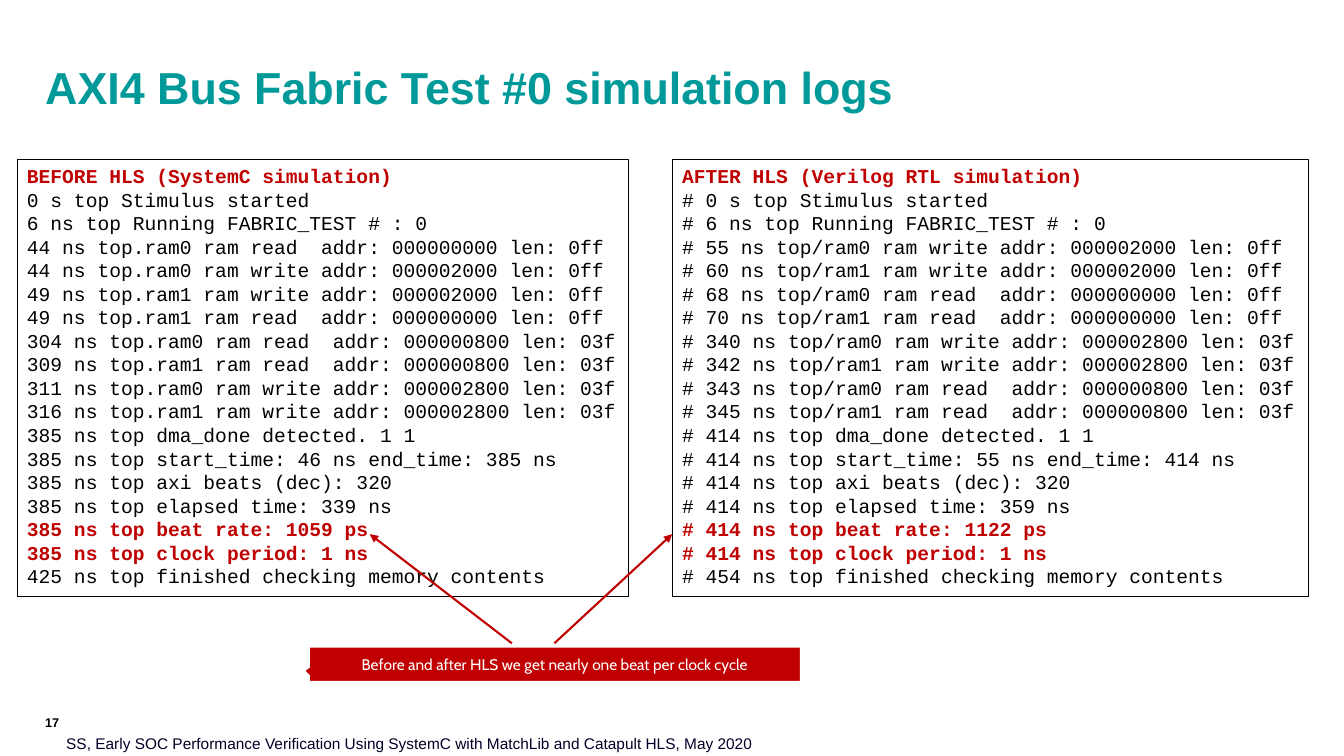
from dataclasses import dataclass

from lxml.etree import SubElement
from pptx import Presentation
from pptx.dml.color import RGBColor
from pptx.enum.shapes import MSO_CONNECTOR, MSO_SHAPE
from pptx.enum.text import MSO_ANCHOR, MSO_AUTO_SIZE, PP_ALIGN
from pptx.oxml.ns import qn
from pptx.util import Cm, Pt

TITLE = "AXI4 Bus Fabric Test #0 simulation logs"
BEFORE = [
    "BEFORE HLS (SystemC simulation)",
    "0 s top Stimulus started",
    "6 ns top Running FABRIC_TEST # : 0",
    "44 ns top.ram0 ram read  addr: 000000000 len: 0ff",
    "44 ns top.ram0 ram write addr: 000002000 len: 0ff",
    "49 ns top.ram1 ram write addr: 000002000 len: 0ff",
    "49 ns top.ram1 ram read  addr: 000000000 len: 0ff",
    "304 ns top.ram0 ram read  addr: 000000800 len: 03f",
    "309 ns top.ram1 ram read  addr: 000000800 len: 03f",
    "311 ns top.ram0 ram write addr: 000002800 len: 03f",
    "316 ns top.ram1 ram write addr: 000002800 len: 03f",
    "385 ns top dma_done detected. 1 1",
    "385 ns top start_time: 46 ns end_time: 385 ns",
    "385 ns top axi beats (dec): 320",
    "385 ns top elapsed time: 339 ns",
    "385 ns top beat rate: 1059 ps",
    "385 ns top clock period: 1 ns",
    "425 ns top finished checking memory contents",
]
AFTER = [
    "AFTER HLS (Verilog RTL simulation)",
    "# 0 s top Stimulus started",
    "# 6 ns top Running FABRIC_TEST # : 0",
    "# 55 ns top/ram0 ram write addr: 000002000 len: 0ff",
    "# 60 ns top/ram1 ram write addr: 000002000 len: 0ff",
    "# 68 ns top/ram0 ram read  addr: 000000000 len: 0ff",
    "# 70 ns top/ram1 ram read  addr: 000000000 len: 0ff",
    "# 340 ns top/ram0 ram write addr: 000002800 len: 03f",
    "# 342 ns top/ram1 ram write addr: 000002800 len: 03f",
    "# 343 ns top/ram0 ram read  addr: 000000800 len: 03f",
    "# 345 ns top/ram1 ram read  addr: 000000800 len: 03f",
    "# 414 ns top dma_done detected. 1 1",
    "# 414 ns top start_time: 55 ns end_time: 414 ns",
    "# 414 ns top axi beats (dec): 320",
    "# 414 ns top elapsed time: 359 ns",
    "# 414 ns top beat rate: 1122 ps",
    "# 414 ns top clock period: 1 ns",
    "# 454 ns top finished checking memory contents",
]
KEY_LINES = (0, 15, 16)
LOGS = [(BEFORE, 0.43, 15.42), (AFTER, 16.94, 16.03)]
LOG_TOP, LOG_HEIGHT = 4.01, 11.02
CALLOUT = "Before and after HLS we get nearly one beat per clock cycle"
ARROWS = [(12.9, 9.32), (13.97, 16.94)]
ARROW_START, ARROW_END = 16.21, 13.46
FOOTER = ("SS, Early SOC Performance Verification Using SystemC with MatchLib "
          "and Catapult HLS, May 2020")
PAGE = "17"


@dataclass(frozen=True)
class Theme:
    teal: str = "009999"
    red: str = "C00000"
    black: str = "000000"
    white: str = "FFFFFF"
    navy: str = "000028"
    sans: str = "Arial"
    mono: str = "Courier New"
    label: str = "Cabin"
    title: int = 32
    log: int = 14
    small: int = 11
    page: int = 9


T = Theme()


def rgb(color):
    return RGBColor.from_string(color)


def style(p, font, size, color, bold=False):
    for r in p.runs:
        r.font.name, r.font.size, r.font.bold = font, Pt(size), bold
        r.font.color.rgb = rgb(color)


def set_insets(tf, left, top, right, bottom):
    tf.margin_left, tf.margin_top = Cm(left), Cm(top)
    tf.margin_right, tf.margin_bottom = Cm(right), Cm(bottom)


def add_title(s):
    sp = s.shapes.title
    sp.left, sp.top, sp.width, sp.height = Cm(1.14), Cm(1.32), Cm(31.42), Cm(1.6)
    tf = sp.text_frame
    tf.text = TITLE
    tf.auto_size = MSO_AUTO_SIZE.NONE
    tf.vertical_anchor = MSO_ANCHOR.BOTTOM
    set_insets(tf, 0, 0, 0.89, 0.05)
    p = tf.paragraphs[0]
    p.alignment, p.line_spacing = PP_ALIGN.LEFT, 0.9
    style(p, T.sans, T.title, T.teal, True)


def add_log(s, lines, left, width):
    sp = s.shapes.add_textbox(Cm(left), Cm(LOG_TOP), Cm(width), Cm(LOG_HEIGHT))
    sp.line.color.rgb, sp.line.width = rgb(T.black), Pt(0.75)
    tf = sp.text_frame
    tf.text = "\n".join(lines)
    tf.word_wrap = False
    tf.auto_size = MSO_AUTO_SIZE.SHAPE_TO_FIT_TEXT
    for i, p in enumerate(tf.paragraphs):
        key = i in KEY_LINES
        style(p, T.mono, T.log, T.red if key else T.black, key)


def add_label(s, text, left, top, width, height):
    tf = s.shapes.add_textbox(Cm(left), Cm(top), Cm(width), Cm(height)).text_frame
    tf.text = text
    tf.word_wrap = True
    tf.vertical_anchor = MSO_ANCHOR.MIDDLE
    return tf


def add_callout(s):
    sp = s.shapes.add_shape(MSO_SHAPE.RECTANGULAR_CALLOUT,
                            Cm(7.8), Cm(16.31), Cm(12.37), Cm(0.86))
    sp.adjustments[0], sp.adjustments[1] = -0.51, 0.19
    sp.shadow.inherit = False
    sp.fill.solid()
    sp.fill.fore_color.rgb = rgb(T.red)
    sp.line.color.rgb, sp.line.width = rgb(T.white), Pt(0.75)
    tf = sp.text_frame
    tf.text = CALLOUT
    tf.vertical_anchor = MSO_ANCHOR.MIDDLE
    p = tf.paragraphs[0]
    p.alignment = PP_ALIGN.CENTER
    style(p, T.label, T.small, T.white)


def add_arrow(s, x1, x2):
    arrow = s.shapes.add_connector(MSO_CONNECTOR.STRAIGHT, Cm(x1), Cm(ARROW_START),
                                   Cm(x2), Cm(ARROW_END))
    arrow.line.color.rgb, arrow.line.width = rgb(T.red), Pt(1.5)
    spPr = arrow.line._get_or_add_ln().getparent()
    SubElement(arrow.line._get_or_add_ln(), qn("a:tailEnd"), type="triangle")
    SubElement(spPr, qn("a:effectLst"))


def main():
    """Build the slide comparing simulation logs before and after HLS."""
    prs = Presentation()
    prs.slide_width, prs.slide_height = Cm(33.87), Cm(19.05)
    s = prs.slides.add_slide(prs.slide_layouts[5])
    add_title(s)
    for lines, left, width in LOGS:
        add_log(s, lines, left, width)
    footer = add_label(s, FOOTER, 1.42, 18.42, 19.3, 0.64)
    style(footer.paragraphs[0], T.sans, T.small, T.navy)
    page = add_label(s, PAGE, 1.14, 17.53, 1.8, 1.52)
    set_insets(page, 0, 0, 0, 0.18)
    style(page.paragraphs[0], T.sans, T.page, T.black, True)
    add_callout(s)
    for x1, x2 in ARROWS:
        add_arrow(s, x1, x2)
    prs.save("out.pptx")


if __name__ == "__main__":
    main()
